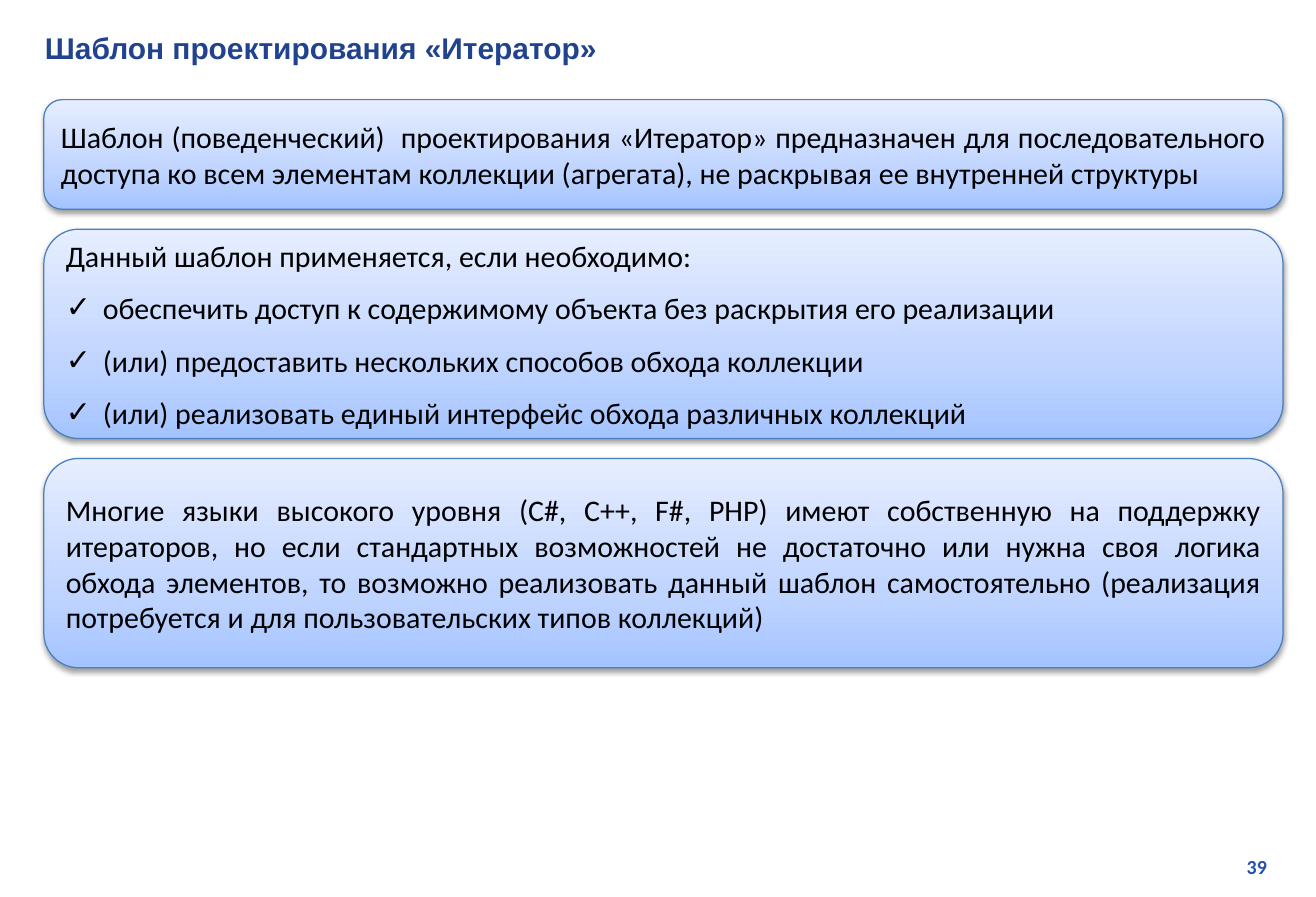
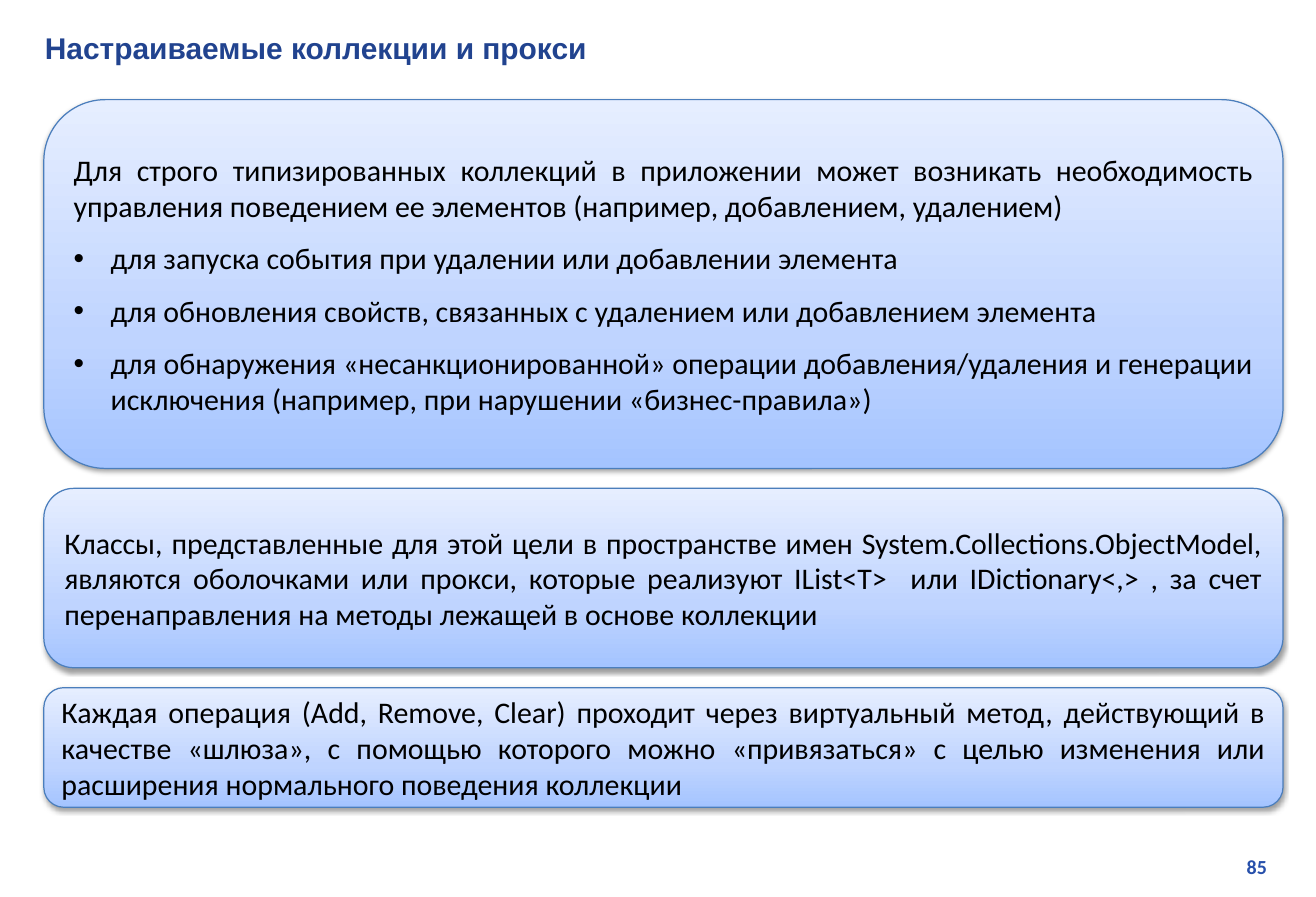
"""Builds two slides about iterators and customizable collections."""
from copy import deepcopy
from dataclasses import dataclass

from lxml import etree
from pptx import Presentation
from pptx import util as u
from pptx.dml.color import RGBColor
from pptx.enum import shapes, text
from pptx.oxml.ns import qn


@dataclass(frozen=True)
class Theme:
    """Colours, fonts, type sizes and the grid shared by the slides."""
    title_color: str = "21438F"
    page_color: str = "2750AB"
    text_color: str = "000000"
    line_color: str = "4B7EBC"
    shadow_color: str = "000000"
    gradient: tuple = ((0, "A4C4FF"), (0.35, "BFD4FF"), (1, "E6EEFF"))
    title_font: str = "Arial"
    body_font: str = "Calibri"
    title_size: int = 18
    body_size: int = 18
    page_size: int = 12
    columns: int = 120
    rows: int = 90
    left: int = 4
    width: int = 113
    top: int = 10
    gap: int = 2


class Deck:
    """Holds the theme and the current slide, and draws each kind of element."""

    def __init__(self, theme):
        """Open an empty presentation of 11 by 7.5 inches."""
        self.theme = theme
        self.prs = Presentation()
        self.prs.slide_width = u.Inches(11)
        self.prs.slide_height = u.Inches(7.5)

    def grid(self, left, top, width, height):
        """Turn columns and rows into lengths."""
        col = self.prs.slide_width / self.theme.columns
        row = self.prs.slide_height / self.theme.rows
        return [u.Emu(round(n * unit)) for n, unit in
                ((left, col), (top, row), (width, col), (height, row))]

    def style(self, p, font, size, color, bold=False):
        """Format all runs of a paragraph."""
        for r in p.runs:
            r.font.name = font
            r.font.size = u.Pt(size)
            r.font.bold = bold
            r.font.color.rgb = RGBColor.from_string(color)

    def slide(self, title, number):
        """Start a slide with its title and page number."""
        self.s = self.prs.slides.add_slide(self.prs.slide_layouts[5])
        self.row = self.theme.top
        self.title(title)
        self.page_number(number)

    def title(self, words):
        """Place and fill the title placeholder."""
        sp = self.s.shapes.title
        sp.left, sp.top, sp.width, sp.height = self.grid(3, 2.4, 114.5, 4.8)
        tf = sp.text_frame
        tf.text = words
        tf.auto_size = text.MSO_AUTO_SIZE.NONE
        tf.vertical_anchor = text.MSO_ANCHOR.MIDDLE
        p = tf.paragraphs[0]
        p.alignment = text.PP_ALIGN.LEFT
        self.style(p, self.theme.title_font, self.theme.title_size,
                   self.theme.title_color, True)

    def page_number(self, number):
        """Write the page number in the bottom right corner."""
        tf = self.s.shapes.add_textbox(*self.grid(91.2, 85.2, 25.4, 3.6)).text_frame
        tf.word_wrap = True
        tf.text = str(number)
        p = tf.paragraphs[0]
        p.alignment = text.PP_ALIGN.RIGHT
        self.style(p, self.theme.body_font, self.theme.page_size,
                   self.theme.page_color, True)

    def panel(self, height, lead, items=(), mark="•"):
        """Stack a rounded panel with a lead paragraph and optional bullets."""
        sp = self.s.shapes.add_shape(
            shapes.MSO_SHAPE.ROUNDED_RECTANGLE,
            *self.grid(self.theme.left, self.row, self.theme.width, height))
        self.row += height + self.theme.gap
        self.gradient(sp)
        sp.line.color.rgb = RGBColor.from_string(self.theme.line_color)
        sp.line.width = u.Pt(0.75)
        self.shadow(sp)
        tf = sp.text_frame
        tf.word_wrap = True
        tf.vertical_anchor = text.MSO_ANCHOR.MIDDLE
        tf.text = "\n".join((lead, *items))
        for i, p in enumerate(tf.paragraphs):
            p.alignment = text.PP_ALIGN.JUSTIFY
            p.space_after = u.Pt(10)
            if i:
                self.bullet(p, mark)
            self.style(p, self.theme.body_font, self.theme.body_size,
                       self.theme.text_color)

    def gradient(self, sp):
        """Fill a shape with the theme gradient, rising from the bottom."""
        sp.fill.gradient()
        sp.fill.gradient_angle = 90
        stops = sp._element.spPr.find(".//" + qn("a:gsLst"))
        stops.append(deepcopy(stops[0]))
        for stop, (position, color) in zip(sp.fill.gradient_stops, self.theme.gradient):
            stop.position = position
            stop.color.rgb = RGBColor.from_string(color)

    def shadow(self, sp):
        """Give a shape a soft shadow below it."""
        sp.shadow.inherit = False
        effects = sp._element.spPr.find(qn("a:effectLst"))
        outer = etree.SubElement(
            effects, qn("a:outerShdw"), blurRad=str(u.Pt(3.1)),
            dist=str(u.Pt(1.6)), dir="5400000", rotWithShape="0")
        color = etree.SubElement(outer, qn("a:srgbClr"), val=self.theme.shadow_color)
        etree.SubElement(color, qn("a:alpha"), val="38000")

    def bullet(self, p, mark):
        """Add a hanging bullet to a paragraph."""
        pPr = p._p.get_or_add_pPr()
        indent = u.Inches(0.31)
        pPr.set("marL", str(indent))
        pPr.set("indent", str(-indent))
        etree.SubElement(pPr, qn("a:buFont"), typeface=self.theme.title_font)
        etree.SubElement(pPr, qn("a:buChar"), char=mark)


def main():
    """Build both slides and save them."""
    deck = Deck(Theme())

    deck.slide("Шаблон проектирования «Итератор»", 39)
    deck.panel(11, "Шаблон (поведенческий)  проектирования «Итератор» предназначен для "
               "последовательного доступа ко всем элементам коллекции (агрегата), "
               "не раскрывая ее внутренней структуры")
    deck.panel(21, "Данный шаблон применяется, если необходимо:", (
        "обеспечить доступ к содержимому объекта без раскрытия его реализации",
        "(или) предоставить нескольких способов обхода коллекции",
        "(или) реализовать единый интерфейс обхода различных коллекций"), "✓")
    deck.panel(21, "Многие языки высокого уровня (C#, C++, F#, PHP) имеют собственную на "
               "поддержку итераторов, но если стандартных возможностей не достаточно "
               "или нужна своя логика обхода элементов, то возможно реализовать данный "
               "шаблон самостоятельно (реализация потребуется и для пользовательских "
               "типов коллекций)")

    deck.slide("Настраиваемые коллекции и прокси", 85)
    deck.panel(37, "Для строго типизированных коллекций в приложении может возникать "
               "необходимость управления поведением ее элементов (например, "
               "добавлением, удалением)", (
                   "для запуска события при удалении или добавлении элемента",
                   "для обновления свойств, связанных с удалением или добавлением элемента",
                   "для обнаружения «несанкционированной» операции добавления/удаления и "
                   "генерации исключения (например, при нарушении «бизнес-правила»)"))
    deck.panel(18, "Классы, представленные для этой цели в пространстве имен "
               "System.Collections.ObjectModel, являются оболочками или прокси, которые "
               "реализуют IList<T>  или IDictionary<,> , за счет перенаправления на "
               "методы лежащей в основе коллекции")
    deck.panel(12, "Каждая операция (Add, Remove, Clear) проходит через виртуальный метод, "
               "действующий в качестве «шлюза», с помощью которого можно «привязаться» с "
               "целью изменения или расширения нормального поведения коллекции")

    deck.prs.save("out.pptx")


if __name__ == "__main__":
    main()
